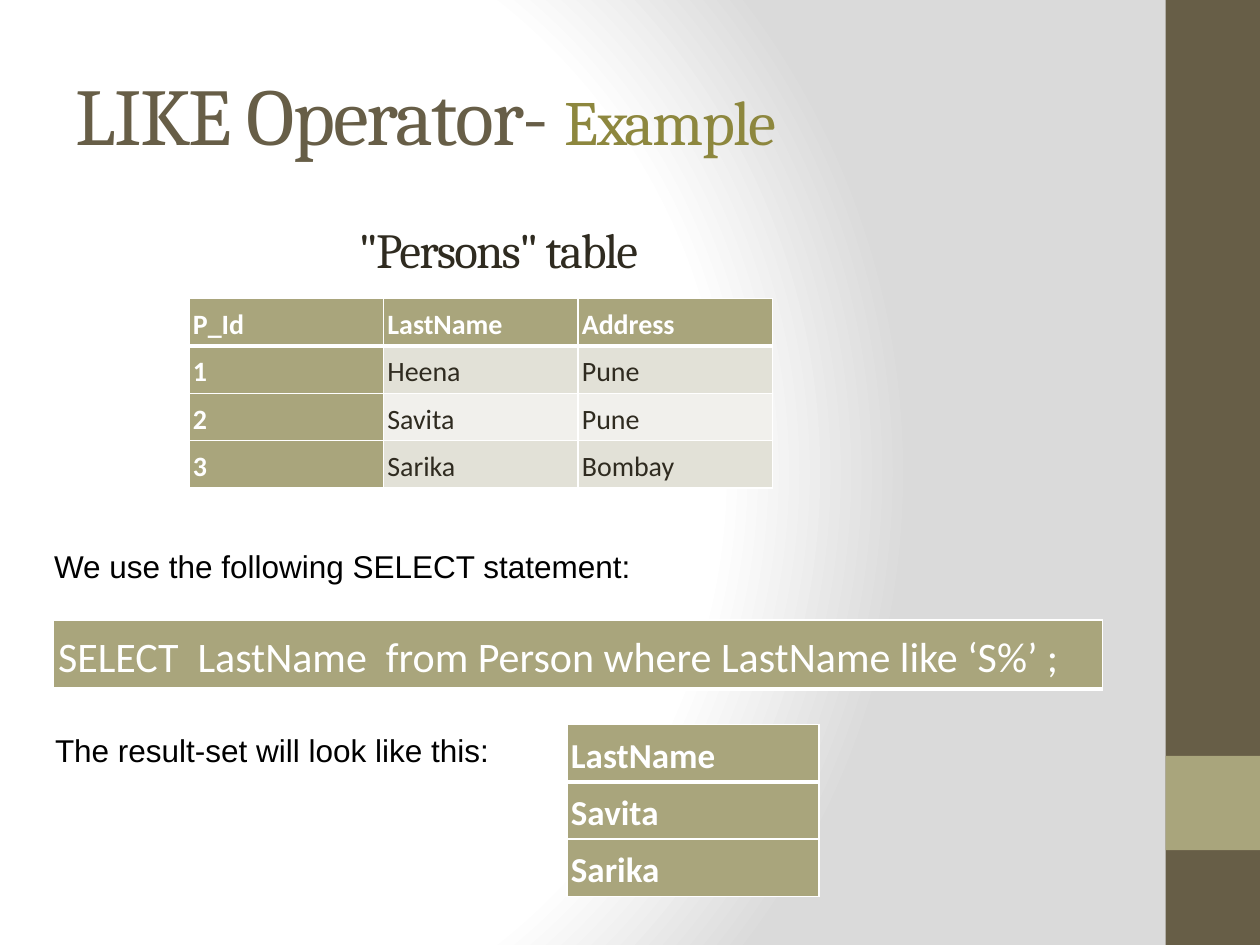
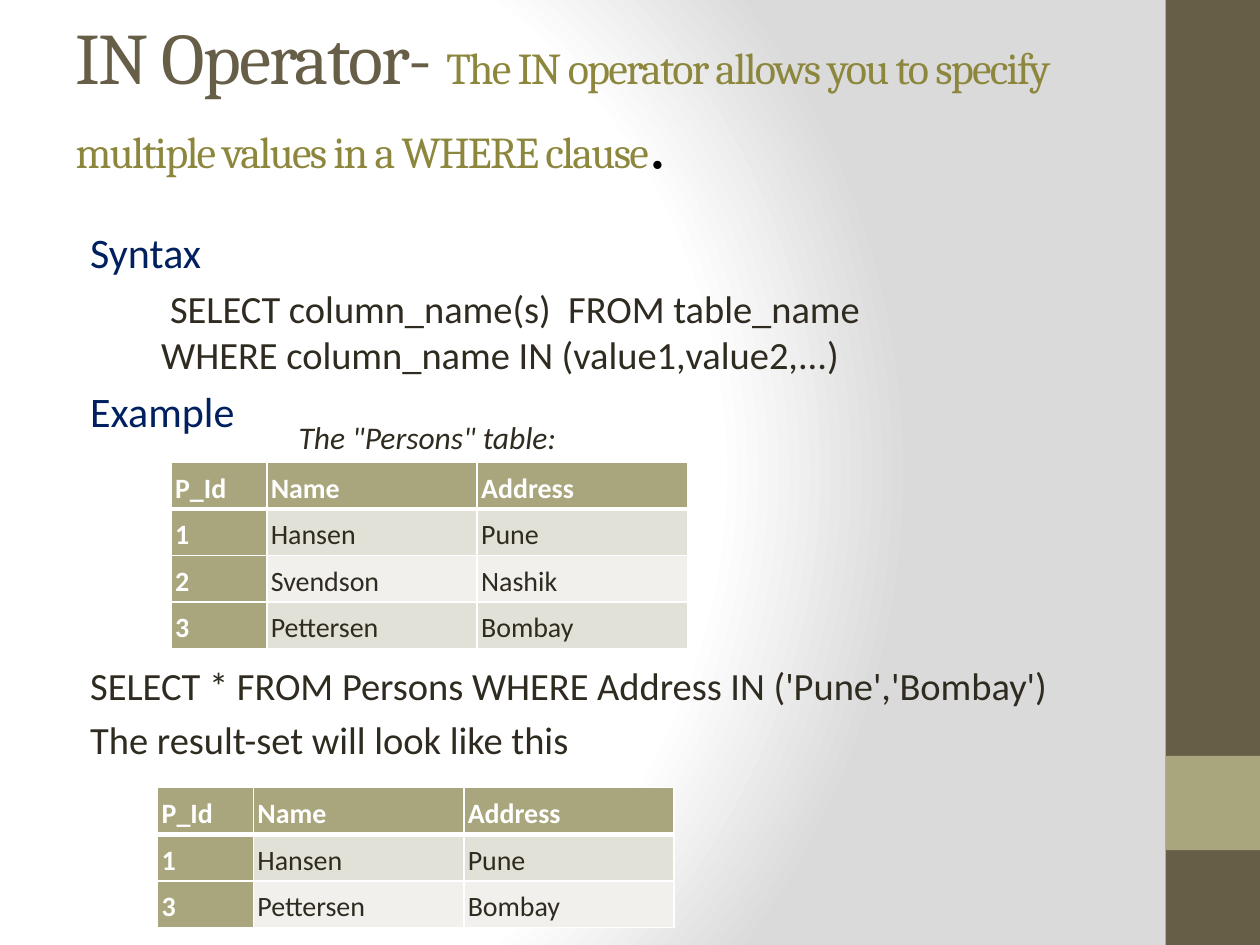
from pptx import Presentation
from pptx.dml.color import RGBColor
from pptx.enum.shapes import MSO_SHAPE
from pptx.enum.text import MSO_ANCHOR, MSO_AUTO_SIZE, PP_ALIGN
from pptx.oxml import parse_xml
from pptx.oxml.ns import nsdecls, qn
from pptx.util import Cm, Pt

RECT = MSO_SHAPE.RECTANGLE
MID, TOP = MSO_ANCHOR.MIDDLE, MSO_ANCHOR.TOP
LEFT = PP_ALIGN.LEFT
FIXED = MSO_AUTO_SIZE.NONE

BROWN, SAGE, OLIVE = "675E47", "A9A57C", "8D873E"
INK, NAVY, BLACK, WHITE = "2F2B20", "002060", "000000", "FFFFFF"
GREY, ODD, EVEN = "DADADA", "E2E1D7", "F1F0EC"
HEAD, BODY = "Cambria", "Calibri"

BANDS = [(0, 19.05, BROWN), (15.24, 1.9, SAGE)]
STOPS = [(0, WHITE), (75, WHITE), (100, GREY)]

LIKE = [
    ("LIKE Operator- ", {"size": 46}),
    ("Example", {"size": 36, "color": OLIVE}),
]
PEOPLE = [
    ("P_Id", "LastName", "Address"),
    ("1", "Heena", "Pune"),
    ("2", "Savita", "Pune"),
    ("3", "Sarika", "Bombay"),
]
QUERY = [("SELECT  LastName  from Person where LastName like ‘S%’ ;",)]
FOUND = [("LastName",), ("Savita",), ("Sarika",)]

IN = [
    ("IN Operator- ", {"size": 41.4}),
    ("The IN operator allows you to specify multiple values "
     "in a WHERE clause", {"size": 25.2, "color": OLIVE}),
    (".", {"size": 39.6, "font": "Times New Roman", "color": BLACK}),
]
STEPS = [
    ("Syntax", {"size": 24, "color": NAVY}),
    ("SELECT column_name(s)  FROM table_name\n"
     "WHERE column_name IN (value1,value2,...)",
     {"margin": 1.73, "indent": 0.18, "before": 4.5}),
    ("Example", {"size": 24, "color": NAVY, "before": 4.5}),
    ("SELECT * FROM Persons WHERE Address IN ('Pune','Bombay')",
     {"before": 129}),
    ("The result-set will look like this", {"before": 4.5}),
]
STAFF = [
    ("P_Id", "Name", "Address"),
    ("1", "Hansen", "Pune"),
    ("2", "Svendson", "Nashik"),
    ("3", "Pettersen", "Bombay"),
]
CITIES = ("Pune", "Bombay")
MATCH = STAFF[:1] + [row for row in STAFF[1:] if row[2] in CITIES]
WIDTHS = [1.93, 4.24, 4.24]


def rgb(code):
    return RGBColor.from_string(code)


def text(frame, runs, font=BODY, size=18, color=INK, bold=False, italic=False,
         track=0, line=None, before=0, margin=0, indent=0):
    para = frame.paragraphs[-1]
    if para.runs:
        para = frame.add_paragraph()
    para.alignment = LEFT
    para.space_before = Pt(before)
    if line:
        para.line_spacing = line
    props = para._p.get_or_add_pPr()
    props.set("marL", str(Cm(margin)))
    props.set("indent", str(Cm(indent)))
    base = {"font": font, "size": size, "color": color}
    for words, own in [(runs, {})] if isinstance(runs, str) else runs:
        look = {**base, **own}
        for num, part in enumerate(words.split("\n")):
            if num:
                para.add_line_break()
            run = para.add_run()
            run.text = part
            face = run.font
            face.name, face.size = look["font"], Pt(look["size"])
            face.bold, face.italic = bold, italic
            face.color.rgb = rgb(look["color"])
            if track:
                run._r.get_or_add_rPr().set("spc", str(track * 100))


def paint(fill, code):
    fill.solid()
    fill.fore_color.rgb = rgb(code)


def place(shape, *box):
    shape.left, shape.top, shape.width, shape.height = map(Cm, box)


def label(slide, box, words, wrap=True, anchor=TOP, **form):
    frame = slide.shapes.add_textbox(*map(Cm, box)).text_frame
    frame.word_wrap = wrap
    frame.vertical_anchor = anchor
    if words:
        text(frame, words, **form)
    return frame


def title(slide, box, runs, gap=0.13):
    shape = slide.shapes.title
    place(shape, *box)
    frame = shape.text_frame
    frame.word_wrap, frame.auto_size = True, FIXED
    frame.vertical_anchor = MID
    frame.margin_top, frame.margin_bottom = 0, Cm(gap)
    text(frame, runs, font=HEAD, color=BROWN, track=-1)


def edge(cell, low):
    props = cell._tc.get_or_add_tcPr()
    for side, wide in (("L", 1), ("R", 1), ("T", 1), ("B", low)):
        props.append(parse_xml(
            f'<a:ln{side} {nsdecls("a")} w="{Pt(wide)}"><a:solidFill>'
            f'<a:srgbClr val="{WHITE}"/></a:solidFill></a:ln{side}>'))


def grid(slide, left, top, cols, high, rows, size=16, bold=True, pad=0.08,
         anchor=TOP):
    box = map(Cm, (left, top, sum(cols), high * len(rows)))
    table = slide.shapes.add_table(len(rows), len(cols), *box).table
    for col, wide in zip(table.columns, cols):
        col.width = Cm(wide)
    for i, row in enumerate(rows):
        table.rows[i].height = Cm(high)
        for j, words in enumerate(row):
            cell = table.cell(i, j)
            key = i == 0 or j == 0
            edge(cell, 3 if i == 0 else 1)
            paint(cell.fill, SAGE if key else ODD if i % 2 else EVEN)
            cell.margin_left = cell.margin_right = Cm(pad)
            cell.margin_top = cell.margin_bottom = Cm(pad)
            cell.vertical_anchor = anchor
            text(cell.text_frame, words, size=size, line=1.15,
                 bold=bold and key, color=WHITE if key else INK)


def dress(master, slide):
    master.background.fill.gradient()
    old = master.element.find(".//" + qn("a:gradFill"))
    stops = "".join(
        f'<a:gs pos="{pos * 1000}"><a:srgbClr val="{code}"/></a:gs>'
        for pos, code in STOPS)
    old.getparent().replace(old, parse_xml(
        f'<a:gradFill {nsdecls("a")} rotWithShape="1"><a:gsLst>{stops}</a:gsLst>'
        '<a:path path="circle"><a:fillToRect l="20000" t="50000" r="100000" '
        'b="50000"/></a:path></a:gradFill>'))
    for num, (top, high, code) in enumerate(BANDS):
        band = slide.shapes.add_shape(RECT, *map(Cm, (23.5, top, 1.9, high)))
        band.shadow.inherit = False
        paint(band.fill, code)
        band.line.fill.background()
        band.name = f"Band {num + 1}"
        master.shapes.element.insert(2 + num, band.element)


deck = Presentation()
deck.slide_width, deck.slide_height = Cm(25.4), Cm(19.05)
plain = deck.slide_layouts[5]
first, second = [deck.slides.add_slide(plain) for _ in range(2)]
dress(deck.slide_master, first)

title(first, (1.27, 0.76, 21.16, 3.18), LIKE)
grid(first, 3.81, 6.02, [3.92] * 3, 0.89, PEOPLE)
grid(first, 1.07, 12.5, [21.16], 1.32, QUERY, size=24, bold=False, pad=0.1,
     anchor=MID)
grid(first, 11.43, 14.61, [5.08], 1.07, FOUND, size=20)
label(first, (6.98, 4.29, 7.62, 1.45), '"Persons" table', anchor=MID,
      font=HEAD, size=28, track=-1)
label(first, (0.84, 10.9, 12.7, 1.02), "We use the following SELECT statement:",
      font="Arial", color=BLACK)
label(first, (0.86, 14.61, 9.35, 1.02), "The result-set will look like this:",
      wrap=False, font="Arial", color=BLACK)

title(second, (1.27, 1.91, 20.32, 1.7), IN, gap=1.6)
frame = label(second, (1.27, 4.45, 21.16, 13.33), "")
for words, form in STEPS:
    text(frame, words, **{"size": 22, "margin": 0.3, **form})
grid(second, 3.45, 9.32, WIDTHS, 0.89, STAFF)
label(second, (5.77, 8.31, 5.82, 1.02), 'The "Persons" table:', wrap=False,
      italic=True)
grid(second, 3.18, 15.88, WIDTHS, 0.89, MATCH)

deck.save("out.pptx")
